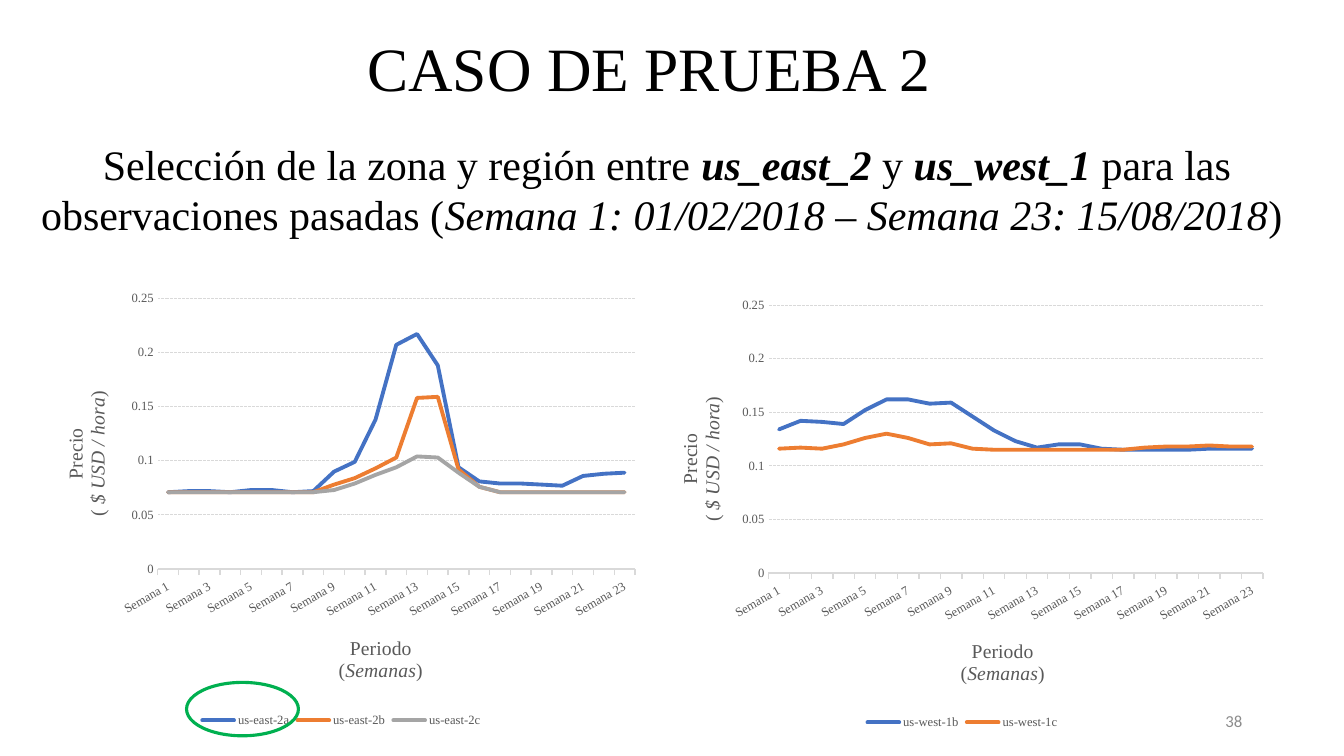
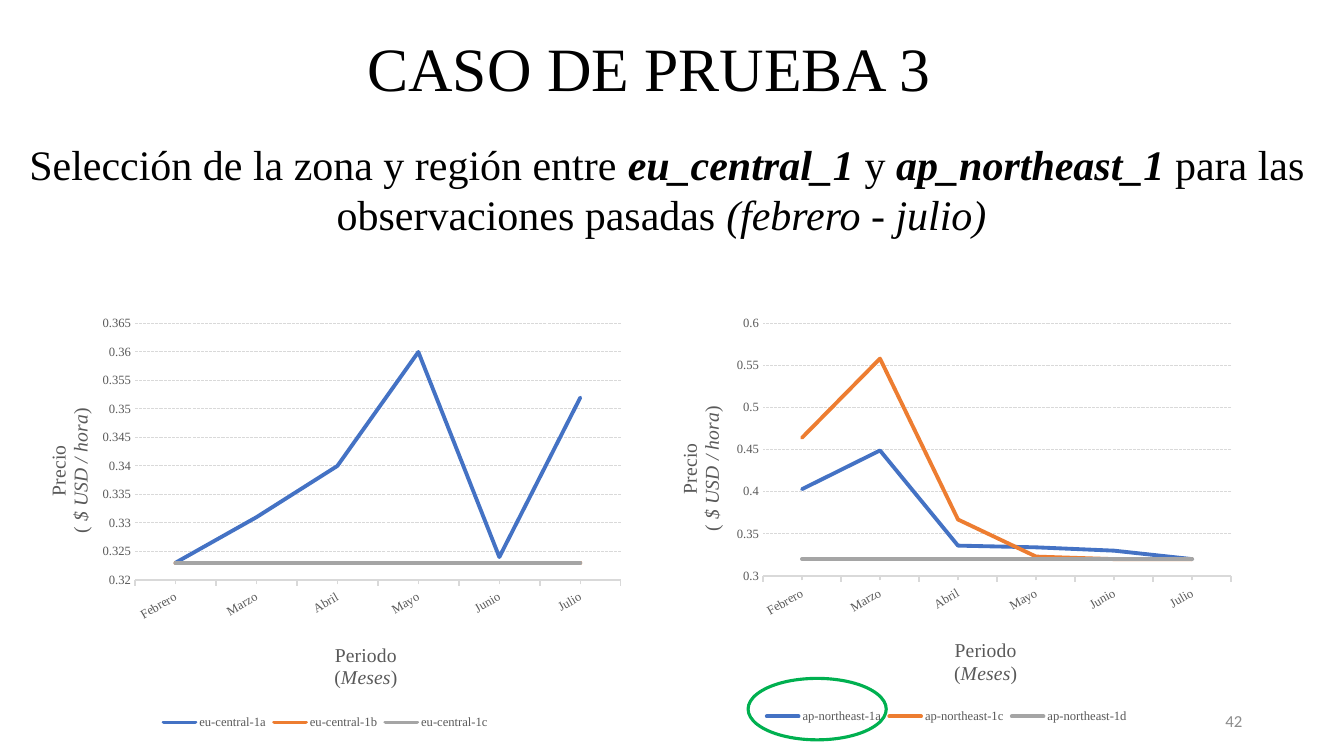
from dataclasses import dataclass

from lxml import etree
from pptx import Presentation
from pptx import util as u
from pptx.chart.data import CategoryChartData
from pptx.dml.color import RGBColor
from pptx.enum import chart as ch, dml, shapes, text
from pptx.oxml.ns import qn


@dataclass(frozen=True)
class Theme:
    ink: str = "000000"
    muted: str = "595959"
    rule: str = "D9D9D9"
    page: str = "8C8C8C"
    ring: str = "00B050"
    lines: tuple = ("4472C4", "ED7D31", "A5A5A5")
    serif: str = "Times New Roman"
    sans: str = "Calibri"
    title_pt: int = 44
    lead_pt: int = 30
    axis_pt: int = 14
    page_pt: int = 12
    tick_pt: int = 9


T = Theme()

# Shared frames, in inches: left, top, width, height
TITLE = (0.69, 0.32, 11.5, 0.77)
LEAD = (0.09, 1.32, 13.05, 1.11)
PAGE = (9.42, 6.95, 3, 0.4)

# Shares of a chart's frame
PLOT_TOP, PLOT_RIGHT, PLOT_HEIGHT = 0.04, 0.98, 0.6
PERIOD_MIDDLE, PERIOD_TOP = 0.56, 0.78
PRICE_LEFT, PRICE_MIDDLE = 0.04, 0.38
PRICE_LENGTH = 1.26  # inches

# Content: runs are (words, style), with b for bold and i for italic
PRICE = [[("Precio", "")], [("( ", ""), ("$ USD / hora", "i"), (")", "")]]
WEEKS = [f"Semana {n}" for n in range(1, 24)]
MONTHS = ["Febrero", "Marzo", "Abril", "Mayo", "Junio", "Julio"]

CASES = [
    {
        "title": "CASO DE PRUEBA 2",
        "page": "38",
        "lead": [("Selección de la zona y región entre ", ""), ("us_east_2 ", "bi"),
                 ("y ", ""), ("us_west_1 ", "bi"),
                 ("para las observaciones pasadas (", ""),
                 ("Semana 1: 01/02/2018 – Semana 23: 15/08/2018", "i"), (") ", "")],
        "period": ("Semanas", 0.84),
        "cats": WEEKS,
        "half_ticks": False,
        "ring": (1.85, 6.77, 1.11, 0.53),
        "charts": [
            {"frame": (0.35, 2.78, 6.07, 4.48), "plot_left": 0.2,
             "scale": (0, 0.25, 0.05),
             "series": {
                 "us-east-2a": [0.071, 0.072, 0.072, 0.071, 0.073, 0.073, 0.071, 0.072,
                                0.09, 0.099, 0.138, 0.207, 0.217, 0.188, 0.094, 0.081,
                                0.079, 0.079, 0.078, 0.077, 0.086, 0.088, 0.089],
                 "us-east-2b": [0.071] * 8 + [0.078, 0.084, 0.093, 0.103, 0.158, 0.159,
                                              0.092, 0.076] + [0.071] * 7,
                 "us-east-2c": [0.071] * 8 + [0.073, 0.079, 0.087, 0.094, 0.104, 0.103,
                                              0.089, 0.076] + [0.071] * 7,
             }},
            {"frame": (6.44, 2.85, 6.21, 4.43), "plot_left": 0.19,
             "scale": (0, 0.25, 0.05),
             "series": {
                 "us-west-1b": [0.134, 0.142, 0.141, 0.139, 0.152, 0.162, 0.162, 0.158,
                                0.159, 0.146, 0.133, 0.123, 0.117, 0.12, 0.12, 0.116,
                                0.115, 0.115, 0.115, 0.115, 0.116, 0.116, 0.116],
                 "us-west-1c": [0.116, 0.117, 0.116, 0.12, 0.126, 0.13, 0.126, 0.12,
                                0.121, 0.116] + [0.115] * 7
                               + [0.117, 0.118, 0.118, 0.119, 0.118, 0.118],
             }},
        ],
    },
    {
        "title": "CASO DE PRUEBA 3",
        "page": "42",
        "lead": [("Selección de la zona y región entre ", ""), ("eu_central_1 ", "bi"),
                 ("y ", ""), ("ap_northeast_1", "bi"),
                 (" para las observaciones pasadas ", ""),
                 ("(febrero - julio) ", "i")],
        "period": ("Meses", 0.62),
        "cats": MONTHS,
        "half_ticks": True,
        "ring": (7.42, 6.73, 1.37, 0.61),
        "charts": [
            {"frame": (0.18, 3.04, 6.1, 4.24), "plot_left": 0.19,
             "scale": (0.32, 0.365, 0.005),
             "series": {
                 "eu-central-1a": [0.323, 0.331, 0.34, 0.36, 0.324, 0.352],
                 "eu-central-1b": [0.323] * 6,
                 "eu-central-1c": [0.323] * 6,
             }},
            {"frame": (6.45, 3.04, 5.88, 4.18), "plot_left": 0.19,
             "scale": (0.3, 0.6, 0.05),
             "series": {
                 "ap-northeast-1a": [0.403, 0.449, 0.336, 0.334, 0.33, 0.32],
                 "ap-northeast-1c": [0.464, 0.558, 0.367, 0.323, 0.32, 0.32],
                 "ap-northeast-1d": [0.32] * 6,
             }},
        ],
    },
]


def inches(frame):
    return [u.Inches(length) for length in frame]


def set_font(font, size, color, face=T.serif, style=""):
    font.size, font.name = u.Pt(size), face
    font.color.rgb = RGBColor.from_string(color)
    font.bold, font.italic = "b" in style, "i" in style


def set_line(line, color, width):
    line.color.rgb = RGBColor.from_string(color)
    line.width = u.Pt(width)


def add_runs(paragraph, runs, size, color, face=T.serif):
    for words, style in runs:
        run = paragraph.add_run()
        run.text = words
        set_font(run.font, size, color, face, style)


def add_text(slide, frame, runs, size, align, anchor, color=T.ink, face=T.serif):
    body = slide.shapes.add_textbox(*inches(frame)).text_frame
    body.word_wrap, body.vertical_anchor = True, anchor
    paragraph = body.paragraphs[0]
    paragraph.alignment = align
    add_runs(paragraph, runs, size, color, face)
    return body


# Chart parts
def place(parent, index, inner=False, **shares):
    """Give a chart part a manual position, in shares of the chart."""
    old = parent.find(qn("c:layout"))
    if old is not None:
        parent.remove(old)
    layout = etree.Element(qn("c:layout"))
    parent.insert(index, layout)
    manual = etree.SubElement(layout, qn("c:manualLayout"))
    settings = {"layoutTarget": "inner"} if inner else {}
    settings.update(xMode="edge", yMode="edge", **shares)
    for tag, value in settings.items():
        etree.SubElement(manual, qn("c:" + tag)).set(
            "val", value if isinstance(value, str) else f"{value:.4f}")


def add_axis_title(axis, lines, x, y, turn=0):
    title = axis.axis_title
    body = title.text_frame
    for number, runs in enumerate(lines):
        paragraph = body.add_paragraph() if number else body.paragraphs[0]
        paragraph.alignment = text.PP_ALIGN.CENTER
        add_runs(paragraph, runs, T.axis_pt, T.muted)
    props = body._txBody.find(qn("a:bodyPr"))
    props.set("rot", str(turn * 60000))
    props.set("vert", "horz")
    place(title._element, 1, x=x, y=y)


def add_price_chart(slide, case, spec_of_chart):
    data = CategoryChartData()
    data.categories = case["cats"]
    for name, prices in spec_of_chart["series"].items():
        data.add_series(name, prices)
    frame, left = spec_of_chart["frame"], spec_of_chart["plot_left"]
    chart = slide.shapes.add_chart(
        ch.XL_CHART_TYPE.LINE, *inches(frame), data).chart
    chart.has_title = False
    set_font(chart.font, 10, T.ink, T.sans)

    plot = chart.plots[0]
    plot.vary_by_categories = False
    for series, color in zip(plot.series, T.lines):
        series.smooth = False
        set_line(series.format.line, color, 2.75)
        series.format.line._get_or_add_ln().set("cap", "rnd")
    place(chart._chartSpace.chart.plotArea, 0, inner=True, x=left, y=PLOT_TOP,
          w=PLOT_RIGHT - left, h=PLOT_HEIGHT)

    chart.has_legend = True
    chart.legend.position = ch.XL_LEGEND_POSITION.BOTTOM
    chart.legend.include_in_layout = False
    set_font(chart.legend.font, T.tick_pt, T.muted)

    # Axes
    periods, prices = chart.category_axis, chart.value_axis
    for axis in (periods, prices):
        set_font(axis.tick_labels.font, T.tick_pt, T.muted)
        axis.major_tick_mark = axis.minor_tick_mark = ch.XL_TICK_MARK.NONE
    periods.major_tick_mark = ch.XL_TICK_MARK.OUTSIDE
    if case["half_ticks"]:
        periods.minor_tick_mark = ch.XL_TICK_MARK.OUTSIDE
    set_line(periods.format.line, T.rule, 1)
    labels = periods._element.find(qn("c:txPr")).find(qn("a:bodyPr"))
    labels.set("rot", str(-30 * 60000))
    labels.set("vert", "horz")

    prices.minimum_scale, prices.maximum_scale, prices.major_unit = spec_of_chart["scale"]
    prices.tick_labels.number_format = "General"
    prices.tick_labels.number_format_is_linked = False
    prices.format.line.fill.background()
    prices.has_major_gridlines = True
    grid = prices.major_gridlines.format.line
    set_line(grid, T.rule, 0.75)
    grid.dash_style = dml.MSO_LINE.SQUARE_DOT

    unit, unit_width = case["period"]
    add_axis_title(periods, [[("Periodo", "")], [("(", ""), (unit, "i"), (")", "")]],
                   PERIOD_MIDDLE - unit_width / 2 / frame[2], PERIOD_TOP)
    add_axis_title(prices, PRICE, PRICE_LEFT,
                   PRICE_MIDDLE - PRICE_LENGTH / 2 / frame[3], turn=-90)


def add_case(deck, case):
    slide = deck.slides.add_slide(deck.slide_layouts[6])
    align, anchor = text.PP_ALIGN, text.MSO_ANCHOR
    add_text(slide, PAGE, [(case["page"], "")], T.page_pt, align.RIGHT,
             anchor.MIDDLE, T.page, T.sans)
    heading = add_text(slide, TITLE, [(case["title"], "")], T.title_pt,
                       align.CENTER, anchor.BOTTOM)
    heading.paragraphs[0].line_spacing = 0.9
    lead = add_text(slide, LEAD, case["lead"], T.lead_pt, align.CENTER, anchor.TOP)
    lead.auto_size = text.MSO_AUTO_SIZE.SHAPE_TO_FIT_TEXT

    for panel in case["charts"]:
        add_price_chart(slide, case, panel)

    # Ring around the chosen zone in the legend
    ring = slide.shapes.add_shape(shapes.MSO_SHAPE.OVAL, *inches(case["ring"]))
    ring.shadow.inherit = False
    ring.fill.background()
    set_line(ring.line, T.ring, 2.25)


def main():
    deck = Presentation()
    deck.slide_width, deck.slide_height = inches((13.33, 7.5))
    for case in CASES:
        add_case(deck, case)
    deck.save("out.pptx")


if __name__ == "__main__":
    main()
